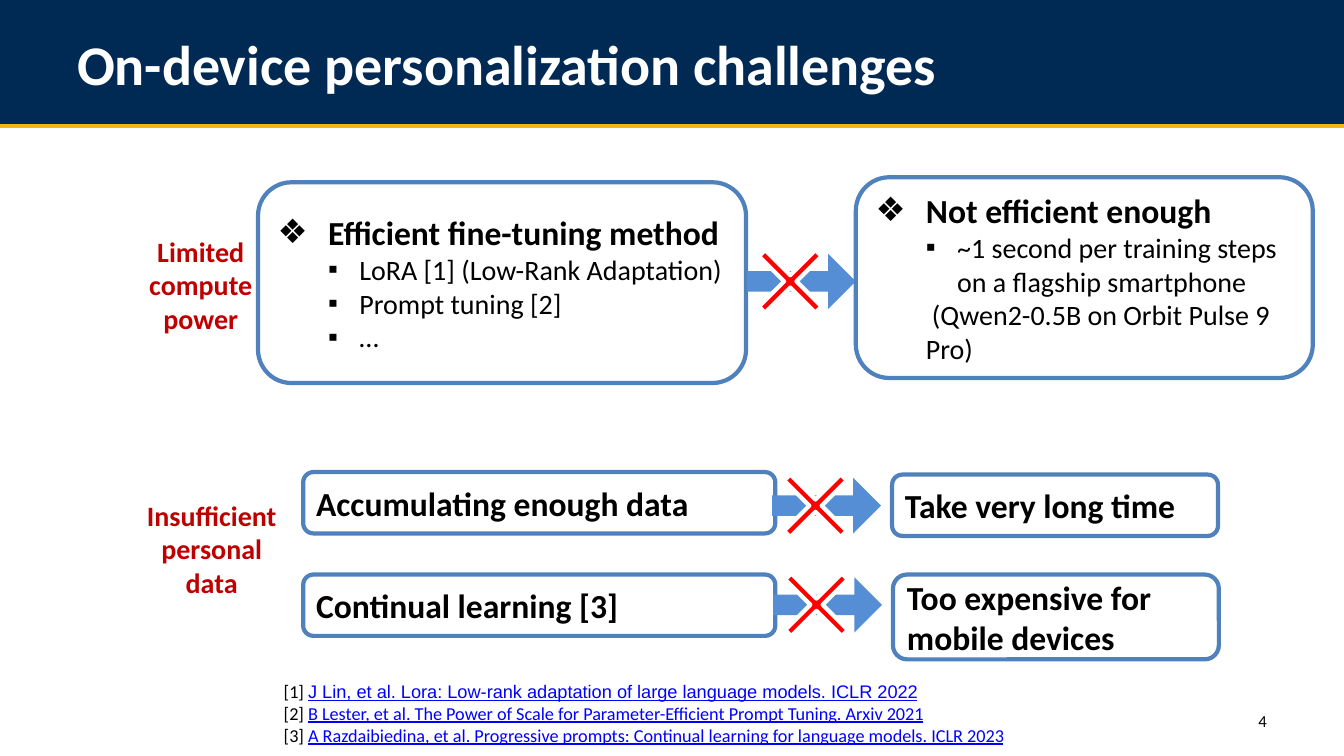
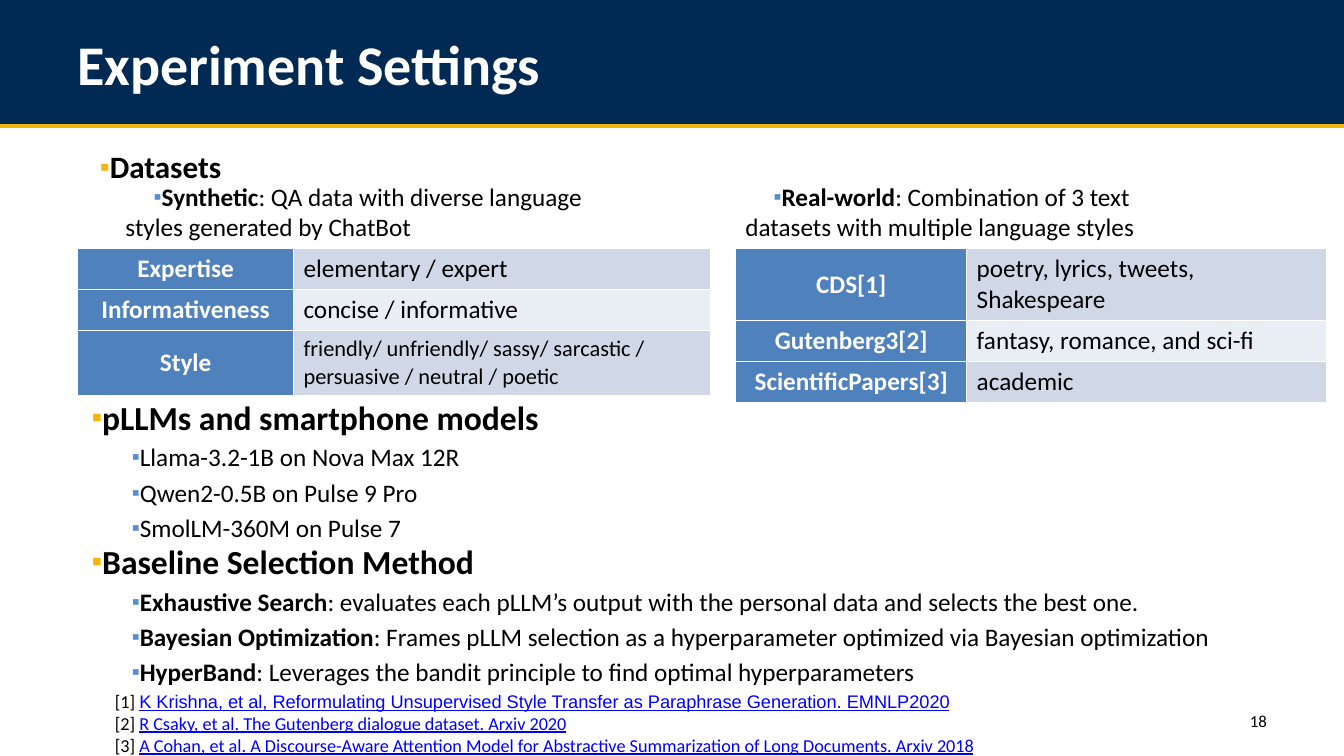
from lxml import etree
from pptx import Presentation, util as u
from pptx.dml.color import RGBColor
from pptx.enum import shapes, text
from pptx.oxml.ns import qn

HUES = {
    "navy": "002A54", "gold": "F3B50F", "blue": "4F81BD", "sky": "558ED5",
    "red": "C00000", "cross": "FF0000", "link": "0000FF", "white": "FFFFFF",
    "black": "000000", "odd": "D0D8E8", "even": "E9EDF4",
}
COLS, ROWS = 80, 45  # square grid cells, one sixth of an inch each
MID, TOP = text.MSO_ANCHOR.MIDDLE, text.MSO_ANCHOR.TOP
LEFT, MIDST, RIGHT = text.PP_ALIGN.LEFT, text.PP_ALIGN.CENTER, text.PP_ALIGN.RIGHT
FORM = shapes.MSO_SHAPE

# Paragraph kinds: margin and indent in inches, bullet, bullet hue, size, bold
KINDS = {
    "plain": (0, 0, "", None, 24, True),
    "main": (0.5, -0.5, "❖", "black", 24, True),
    "sub": (0.81, -0.31, "▪", "black", 20, False),
    "note": (0.5, 0.06, "", None, 20, False),
    "small": (0.16, 0.35, "▪", "gold", 22.2, True),
    "head": (0.16, 0.35, "▪", "gold", 24, True),
    "item": (0.63, 0.28, "▪", "sky", 18, False),
}


def rgb(hue):
    return RGBColor.from_string(HUES[hue])


def add(node, tag, **atts):
    return etree.SubElement(node, qn(tag), atts)


class Deck:
    def __init__(self):
        self.prs = Presentation()
        self.prs.slide_width = u.Inches(13.333)
        self.prs.slide_height = u.Inches(7.5)
        self.cell = self.prs.slide_height / ROWS
        self.slide = None

    def grid(self, *spans):
        return [u.Emu(round(n * self.cell)) for n in spans]

    # Slide frame: band, rule, title and number
    def page(self, title, num):
        self.slide = self.prs.slides.add_slide(self.prs.slide_layouts[6])
        self.form(FORM.RECTANGLE, (0, 0, COLS, 7.5), "navy")
        self.rule(7.5, "gold", 2.5)
        self.label((4, 0, 72, 7.5), title, 40, "white", True, LEFT, MID)
        self.label((57.33, 41.7, 18.67, 2.4), num, 12, "black", False, RIGHT, MID)

    def rule(self, row, hue, width):
        ends = self.grid(0, row, COLS, row)
        line = self.slide.shapes.add_connector(shapes.MSO_CONNECTOR.STRAIGHT, *ends)
        line.line.color.rgb = rgb(hue)
        line.line.width = u.Pt(width)
        add(line._element.spPr, "a:effectLst")

    def form(self, kind, area, fill, line=None):
        shape = self.slide.shapes.add_shape(kind, *self.grid(*area))
        shape.shadow.inherit = False
        shape.fill.solid()
        shape.fill.fore_color.rgb = rgb(fill)
        if line:
            shape.line.color.rgb = rgb(line)
            shape.line.width = u.Pt(3)
        else:
            shape.line.fill.background()
        return shape

    # Text
    def font(self, run, size, hue="black", bold=False, face="Calibri"):
        run.font.size, run.font.bold, run.font.name = u.Pt(size), bold, face
        run.font.color.rgb = rgb(hue)

    def frame(self, area, anchor=TOP):
        frame = self.slide.shapes.add_textbox(*self.grid(*area)).text_frame
        frame.word_wrap = True
        frame.vertical_anchor = anchor
        return frame

    def label(self, area, words, size, hue, bold, align=MIDST, anchor=TOP):
        frame = self.frame(area, anchor)
        frame.text = words
        para = frame.paragraphs[0]
        para.alignment = align
        self.font(para.runs[0], size, hue, bold)

    def paras(self, frame, items, gap=0.0):
        """Items are (kind, words) or (kind, bold lead, words)."""
        for i, (kind, *parts) in enumerate(items):
            margin, indent, mark, hue, size, bold = KINDS[kind]
            para = frame.add_paragraph() if i else frame.paragraphs[0]
            para.alignment = LEFT
            props = para._p.get_or_add_pPr()
            props.set("marL", str(u.Inches(margin)))
            props.set("indent", str(u.Inches(indent)))
            if mark:
                add(add(props, "a:buClr"), "a:srgbClr", val=HUES[hue])
                add(props, "a:buSzPct", val="90000" if gap else "100000")
                add(props, "a:buFont", typeface="Arial")
                add(props, "a:buChar", char=mark)
            if i and gap:
                para.space_before = u.Pt(round(size * gap, 1))
            for j, words in enumerate(parts):
                run = para.add_run()
                run.text = words
                self.font(run, size, bold=bold or j < len(parts) - 1)

    def bullets(self, area, items):
        self.paras(self.frame(area), items, 0.2)

    def refs(self, area, cites):
        frame = self.frame(area)
        for i, cite in enumerate(cites):
            para = frame.add_paragraph() if i else frame.paragraphs[0]
            tag, link = para.add_run(), para.add_run()
            tag.text, link.text = f"[{i + 1}] ", cite
            self.font(tag, 13)
            self.font(link, 13, "link", face="Calibri" if i else "Arial")
            link.font.underline = True

    # Two boxes joined by a crossed-out arrow
    def card(self, area, items):
        frame = self.form(FORM.ROUNDED_RECTANGLE, area, "white", "blue").text_frame
        frame.word_wrap = True
        frame.vertical_anchor = MID
        self.paras(frame, items)

    def flow(self, start, cause, col, row, end, effect):
        self.card(start, cause)
        arrow = self.form(FORM.RIGHT_ARROW, (col, row - 1.65, 6.48, 3.3), "sky")
        arrow.adjustments[0] = 0.37
        cross = (col - 0.66, row - 3.24, 6.48, 6.48)
        self.form(FORM.MATH_MULTIPLY, cross, "cross", "white").adjustments[0] = 0.08
        self.card(end, effect)

    # Table of names and values
    def table(self, left, top, cols, rows, data):
        area = self.grid(left, top, sum(cols), sum(rows))
        table = self.slide.shapes.add_table(len(rows), len(cols), *area).table
        table.first_row = table.horz_banding = False
        for col, wide in zip(table.columns, self.grid(*cols)):
            col.width = wide
        for row, high in zip(table.rows, self.grid(*rows)):
            row.height = high
        for i, (name, value, size) in enumerate(data):
            self.entry(table.cell(i, 0), name, 18, "blue", True)
            self.entry(table.cell(i, 1), value, size, "even" if i % 2 else "odd")

    def entry(self, cell, words, size, fill, key=False):
        cell.text = words
        cell.vertical_anchor = MID if key else TOP
        para = cell.text_frame.paragraphs[0]
        para.alignment = MIDST if key else LEFT
        self.font(para.runs[0], size, "white" if key else "black", key)
        props = cell._tc.get_or_add_tcPr()
        for side in "LRTB":
            edge = add(props, f"a:ln{side}", w=str(u.Pt(1)))
            add(add(edge, "a:solidFill"), "a:srgbClr", val=HUES["white"])
        cell.fill.solid()
        cell.fill.fore_color.rgb = rgb(fill)


def hurdles(deck):
    deck.page("On-device personalization challenges", "4")
    deck.label((6.9, 13.65, 10.1, 6.65), "Limited compute power", 20, "red", True)
    deck.label((8, 29.35, 9.2, 6.65), "Insufficient personal data", 20, "red", True)
    deck.flow(
        (15.36, 10.85, 29.05, 11.95),
        [("main", "Efficient fine-tuning method"),
         ("sub", "LoRA [1] (Low-Rank Adaptation)"),
         ("sub", "Prompt tuning [2]"),
         ("sub", "…")],
        44.46, 16.75,
        (50.94, 10.55, 27.2, 11.95),
        [("main", "Not efficient enough"),
         ("sub", "~1 second per training steps on a flagship smartphone"),
         ("note", "(Qwen2-0.5B on Orbit Pulse 9 Pro)")])
    deck.flow(
        (18.05, 28.1, 28.1, 3.65), [("plain", "Accumulating enough data")],
        45.96, 30.1,
        (53.1, 28.25, 19.4, 3.65), [("plain", "Take very long time")])
    deck.flow(
        (18.05, 34.2, 28.1, 3.65), [("plain", "Continual learning [3]")],
        46.02, 36,
        (53.15, 34.2, 19.4, 5.05), [("plain", "Too expensive for mobile devices")])
    deck.refs((16.3, 40.2, 44.65, 4.55), [
        "J Lin, et al. Lora: Low-rank adaptation of large language models. ICLR 2022",
        "B Lester, et al. The Power of Scale for Parameter-Efficient Prompt Tuning. "
        "Arxiv 2021",
        "A Razdaibiedina, et al. Progressive prompts: Continual learning for language "
        "models. ICLR 2023"])


def setup(deck):
    deck.page("Experiment Settings", "18")

    # Datasets
    deck.bullets((2.3, 8.5, 72, 2.45), [("small", "Datasets")])
    deck.bullets((3.1, 10.5, 32.6, 4.3), [
        ("item", "Synthetic",
         ": QA data with diverse language styles generated by ChatBot")])
    deck.bullets((40, 10.5, 32.6, 4.3), [
        ("item", "Real-world",
         ": Combination of 3 text datasets with multiple language styles")])
    deck.table(4.63, 14.8, (12.84, 24.8), (2.44, 2.44, 3.86), [
        ("Expertise", "elementary / expert", 18),
        ("Informativeness", "concise / informative", 18),
        ("Style", "friendly/ unfriendly/ sassy/ sarcastic / "
         "persuasive / neutral / poetic", 16)])
    deck.table(43.8, 14.8, (13.74, 21.42), (4.28, 2.44, 2.44), [
        ("CDS[1]", "poetry, lyrics, tweets, Shakespeare", 18),
        ("Gutenberg3[2]", "fantasy, romance, and sci-fi", 18),
        ("ScientificPapers[3]", "academic", 18)])

    # Models and baselines
    deck.bullets((1.8, 23.3, 72, 8.6), [
        ("head", "pLLMs and smartphone models"),
        ("item", "Llama-3.2-1B on Nova Max 12R"),
        ("item", "Qwen2-0.5B on Pulse 9 Pro"),
        ("item", "SmolLM-360M on Pulse 7")])
    deck.bullets((1.8, 31.9, 72, 10.5), [
        ("head", "Baseline Selection Method"),
        ("item", "Exhaustive Search", ": evaluates each pLLM’s output with the "
         "personal data and selects the best one."),
        ("item", "Bayesian Optimization", ": Frames pLLM selection as a "
         "hyperparameter optimized via Bayesian optimization"),
        ("item", "HyperBand",
         ": Leverages the bandit principle to find optimal hyperparameters")])
    deck.refs((6.25, 40.8, 53.5, 4.2), [
        "K Krishna, et al, Reformulating Unsupervised Style Transfer as Paraphrase "
        "Generation. EMNLP2020",
        "R Csaky, et al. The Gutenberg dialogue dataset. Arxiv 2020",
        "A Cohan, et al. A Discourse-Aware Attention Model for Abstractive "
        "Summarization of Long Documents. Arxiv 2018"])


def main():
    deck = Deck()
    hurdles(deck)
    setup(deck)
    deck.prs.save("out.pptx")


if __name__ == "__main__":
    main()
